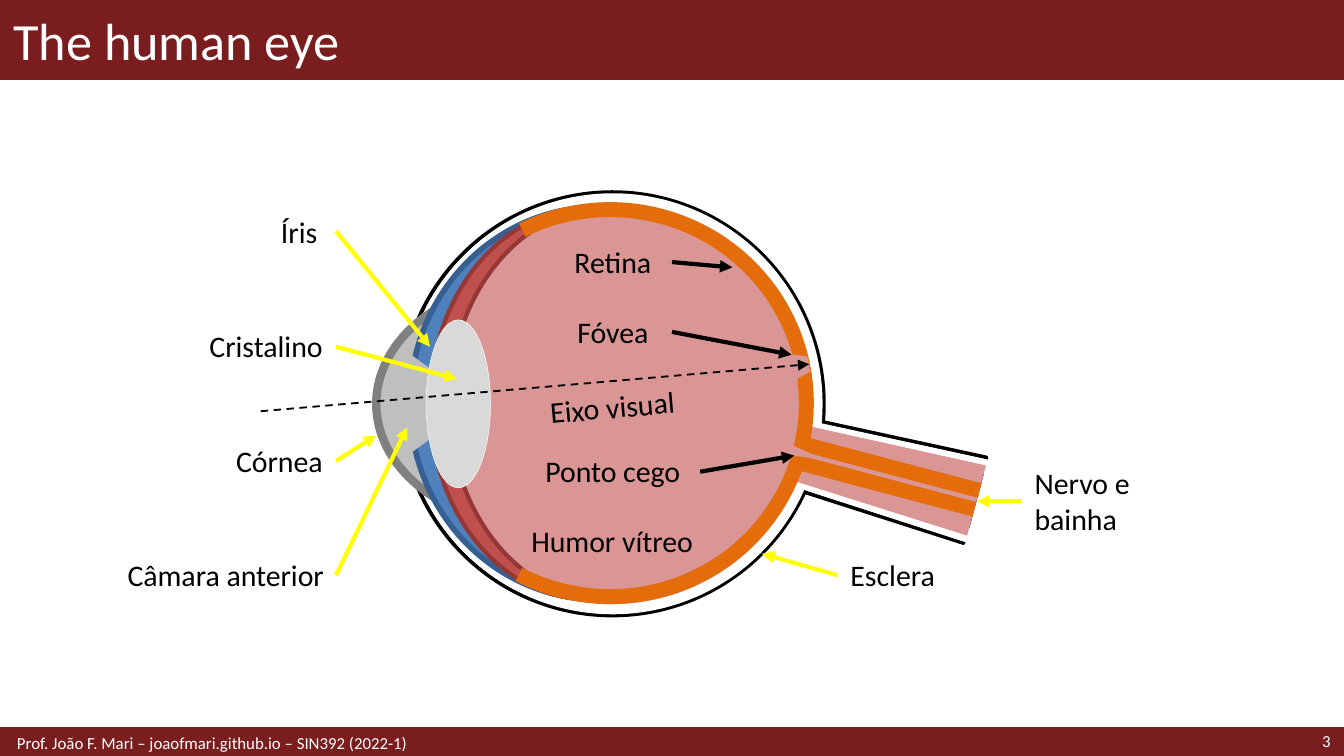
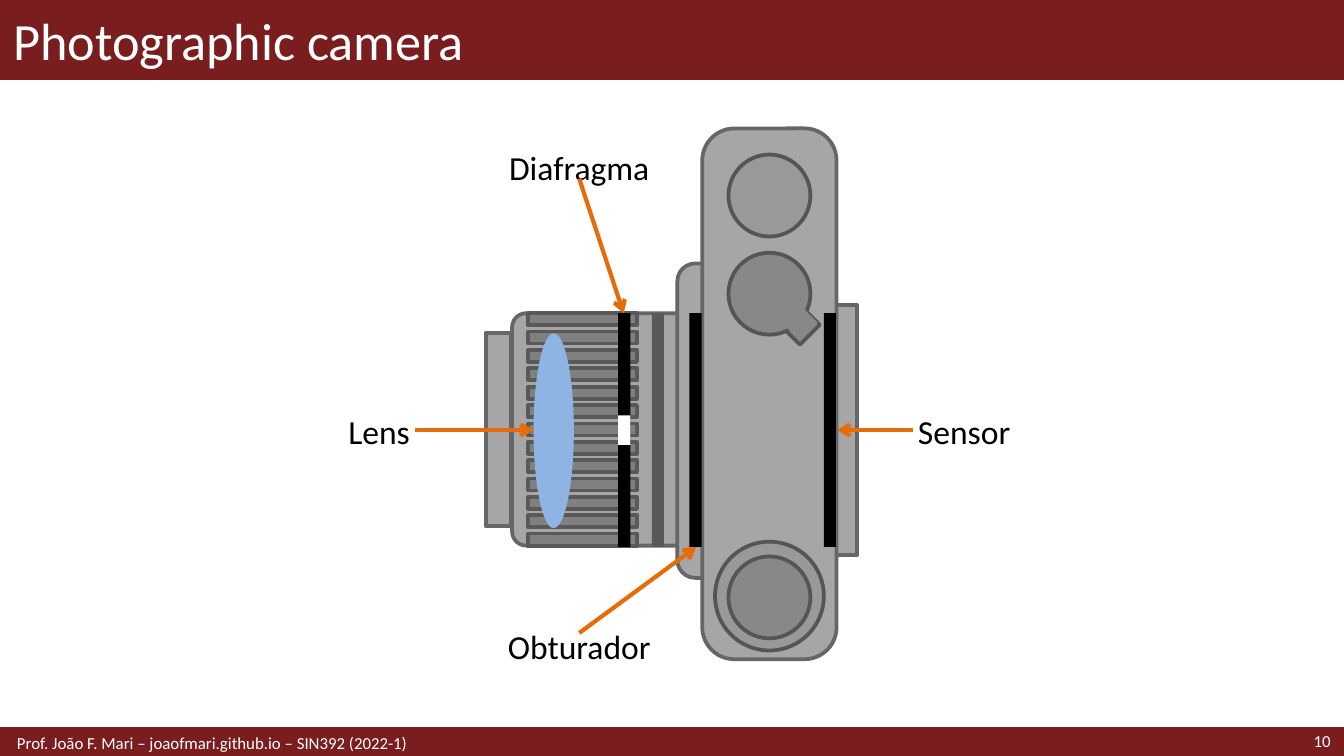
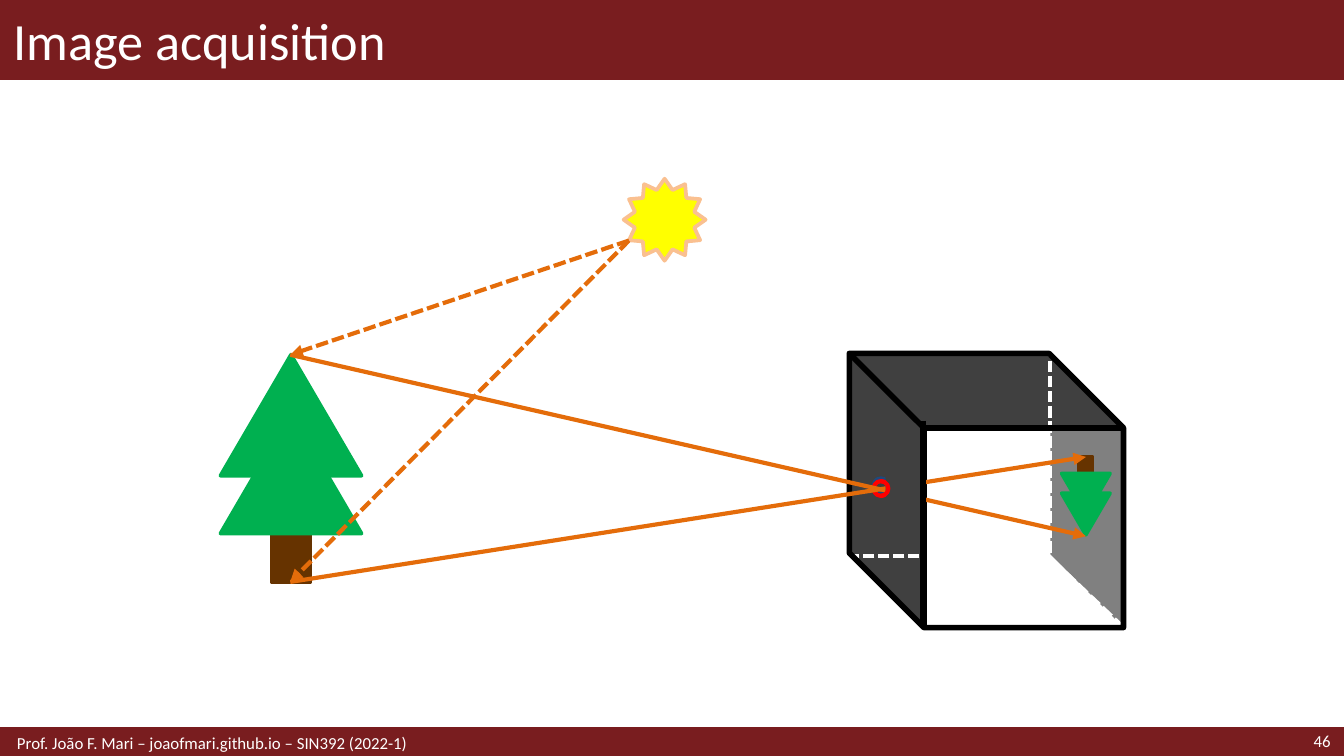
from pptx import Presentation
from pptx.dml.color import RGBColor
from pptx.enum.dml import MSO_LINE
from pptx.enum.shapes import MSO_CONNECTOR, MSO_SHAPE
from pptx.enum.text import MSO_ANCHOR, MSO_AUTO_SIZE, PP_ALIGN
from pptx.oxml.ns import qn
from pptx.util import Inches, Pt
from lxml import etree

COL = Inches(1)  # the slide is a grid of 10 by 5.625 square cells
COLS, ROWS = 10, 5.625
BAND = 0.59
FOOT = 5.42

RED, WHITE, BLACK, YELLOW = "791D1F", "FFFFFF", "000000", "FFFF00"
PINK, ORANGE, GREEN, BROWN = "D99694", "E46C0A", "00B050", "663300"
SILVER, GRAY, DARK, PALE = "A6A6A6", "808080", "404040", "BFBFBF"
EDGE, RIM, RIB, KNOB, DIAL = "666666", "555555", "595959", "888888", "999999"

LEFT, MID, RIGHT = PP_ALIGN.LEFT, PP_ALIGN.CENTER, PP_ALIGN.RIGHT
DASH, DOTS = MSO_LINE.DASH, MSO_LINE.SQUARE_DOT
STRAIGHT = MSO_CONNECTOR.STRAIGHT
MIDDLE, FIXED = MSO_ANCHOR.MIDDLE, MSO_AUTO_SIZE.NONE
RECT, ROUND = MSO_SHAPE.RECTANGLE, MSO_SHAPE.ROUNDED_RECTANGLE
OVAL, ARC, MOON = MSO_SHAPE.OVAL, MSO_SHAPE.ARC, MSO_SHAPE.MOON
TRAP, SLANT = MSO_SHAPE.TRAPEZOID, MSO_SHAPE.PARALLELOGRAM
CUBE, STAR = MSO_SHAPE.CUBE, MSO_SHAPE.STAR_12_POINT
CONE = MSO_SHAPE.ISOSCELES_TRIANGLE


def grid(*cells):
    return [round(cell * COL) for cell in cells]


def hue(code):
    return RGBColor.from_string(code)


def stroke(line, pen):
    """Apply a pen: (colour, points) or (colour, points, dash)."""
    line.color.rgb = hue(pen[0])
    line.width = Pt(pen[1])
    if len(pen) > 2:
        line.dash_style = pen[2]


def put(slide, kind, box, fill=None, pen=None, rot=0, flip="", adj=()):
    shape = slide.shapes.add_shape(kind, *grid(*box))
    shape.shadow.inherit = False
    shape.rotation = rot
    for side in flip:
        shape._element.spPr.find(qn("a:xfrm")).set("flip" + side, "1")
    for spot, val in enumerate(adj):
        shape.adjustments[spot] = val
    if fill:
        shape.fill.solid()
        shape.fill.fore_color.rgb = hue(fill)
    else:
        shape.fill.background()
    if pen:
        stroke(shape.line, pen)
    else:
        shape.line.fill.background()
    return shape


def link(slide, start, end, pen, tip=None):
    line = slide.shapes.add_connector(STRAIGHT, *grid(*start, *end))
    stroke(line.line, pen)
    if tip:
        etree.SubElement(line.line._ln, qn("a:tailEnd"), type=tip)
    etree.SubElement(line._element.spPr, qn("a:effectLst"))


def write(shape, text, size, color=BLACK, align=LEFT, pad=None):
    frame = shape.text_frame
    frame.text = text
    form = {"word_wrap": True, "auto_size": FIXED, "vertical_anchor": MIDDLE}
    if pad is not None:
        for side in ("left", "right", "top", "bottom"):
            form["margin_" + side] = Inches(pad)
    for key, val in form.items():
        setattr(frame, key, val)
    para = frame.paragraphs[0]
    para.alignment = align
    for key, val in {"name": "Calibri", "size": Pt(size)}.items():
        setattr(para.font, key, val)
    para.font.color.rgb = hue(color)


def label(slide, box, text, size=16, rot=0, **form):
    shape = slide.shapes.add_textbox(*grid(*box))
    shape.rotation = rot
    write(shape, text, size, **form)


def bands(slide, layout):
    """Draw the two bands and hand them to the layout."""
    for box, pt in (((0, 0, COLS, BAND), 1), ((0, FOOT, COLS, 0.21), 2)):
        band = put(slide, RECT, box, RED, (RED, pt))
        layout.shapes._spTree.append(band._element)


def page(deck, title, number):
    layout = deck.slide_layouts[5]
    slide = deck.slides.add_slide(layout)
    if len(deck.slides) == 1:
        bands(slide, layout)
    head = slide.shapes.title
    head.left, head.top, head.width, head.height = grid(0, 0, COLS, BAND)
    write(head, title, 28, WHITE)
    label(slide, (8.86, FOOT - 0.01, 1.14, 0.21), number, 9,
          color=WHITE, align=RIGHT)
    label(slide, (0, FOOT, 6.89, 0.21),
          " Prof. João F. Mari – joaofmari.github.io – SIN392 (2022-1)",
          9, color=WHITE)
    return slide


def eyeball(slide):
    def part(kind, box, fill=None, pen=None, rot=0, adj=()):
        put(slide, kind, box, fill, pen, rot, "V", adj)

    ink, nerve, gap = (BLACK, 2), (ORANGE, 8), (WHITE, 8)
    part(TRAP, (6.17, 2.74, 0.66, 1.56), WHITE, ink, 105, [0.115])
    part(OVAL, (2.98, 1.43, 3.15, 3.15), WHITE, ink)
    part(OVAL, (2.8, 2.1, 2.28, 1.81), PALE, ink)
    part(ARC, (3.03, 1.47, 3.06, 3.07), None, (WHITE, 4.5),
         adj=[124.619, 91.483])
    part(OVAL, (3.12, 1.57, 2.87, 2.87), PINK, (PINK, 8))
    part(OVAL, (3.29, 1.57, 2.53, 2.87), PINK, (PINK, 8))
    part(ARC, (2.8, 2.1, 2.4, 1.81), None, (GRAY, 4.5),
         adj=[78.452, 137.846])
    part(MOON, (3.05, 1.54, 1.4, 2.92), "4F81BD", ("376092", 3), adj=[0.115])
    part(TRAP, (2.77, 2.87, 0.78, 0.27), PALE, rot=270, adj=[0.731])
    link(slide, (7.38, 4.04), (5.87, 3.55), gap)
    link(slide, (7.64, 3.54), (5.99, 3.18), gap)
    part(TRAP, (6.31, 2.83, 0.54, 1.42), PINK, rot=105, adj=[0.115])
    link(slide, (7.25, 3.79), (5.97, 3.45), nerve)
    part(MOON, (3.2, 1.55, 1.18, 2.91), "C0504D", ("953735", 2.25),
         adj=[0.121])
    part(ARC, (3.08, 1.56, 2.92, 2.88), None, nerve, adj=[145.166, 70.166])
    part(OVAL, (3.17, 2.38, 0.48, 1.25), "D9D9D9", (WHITE, 0.25))
    part(TRAP, (5.78, 2.62, 0.26, 0.22), PINK, rot=259.1, adj=[0.327])
    link(slide, (1.94, 3.06), (6.02, 2.71), (BLACK, 1, DASH), "triangle")
    link(slide, (7.29, 3.65), (6, 3.31), nerve)
    part(TRAP, (5.87, 3.25, 0.1, 0.22), PINK, rot=285.4, adj=[0.327])


def eye(deck):
    slide = page(deck, "The human eye", "3")
    eyeball(slide)
    tall = 0.31
    for text, left, top, wide, align in (
        ("Nervo e bainha", 7.6, 3.57, 1.34, LEFT),
        ("Ponto cego", 3.91, 3.35, 1.3, MID),
        ("Fóvea", 4.12, 2.31, 0.88, MID),
        ("Humor vítreo", 3.77, 3.87, 1.57, MID),
        ("Retina", 4.12, 1.79, 0.88, MID),
        ("Cristalino", 1.22, 2.42, 1.28, RIGHT),
        ("Córnea", 1.22, 3.27, 1.28, RIGHT),
        ("Íris ", 1.61, 1.57, 0.9, RIGHT),
        ("Câmara anterior", 0.67, 4.12, 1.84, RIGHT),
        ("Esclera", 6.23, 4.12, 1, LEFT),
    ):
        label(slide, (left, top, wide, tall), text, align=align)
    label(slide, (3.78, 2.87, 1.55, tall), "Eixo visual", rot=355, align=MID)
    for color, start, end in (
        (BLACK, (5, 2.47), (5.89, 2.64)),
        (BLACK, (5, 1.95), (5.45, 1.99)),
        (BLACK, (5.21, 3.51), (5.91, 3.39)),
        (YELLOW, (2.5, 2.58), (3.4, 2.82)),
        (YELLOW, (2.5, 3.43), (2.8, 3.24)),
        (YELLOW, (2.5, 4.28), (3.03, 3.18)),
        (YELLOW, (2.5, 1.72), (3.2, 2.58)),
        (YELLOW, (6.23, 4.28), (5.67, 4.12)),
        (YELLOW, (7.6, 3.73), (7.27, 3.73)),
    ):
        link(slide, start, end, (color, 2.25), "triangle")


def body(slide):
    case, rim = (EDGE, 2), (RIM, 2)
    for kind, box, fill, pen, rot, adj in (
        (RECT, (2.99, 3.1, 1.44, 0.19), SILVER, case, 270, ()),
        (ROUND, (3.84, 2.3, 1.73, 1.79), SILVER, case, 270, [0.061]),
        (RECT, (5.05, 2.8, 1.86, 0.8), SILVER, case, 270, ()),
        (ROUND, (4.27, 2.73, 2.34, 0.8), SILVER, case, 270, ()),
        (ROUND, (3.75, 2.43, 3.95, 1), SILVER, case, 270, [0.239]),
        (OVAL, (5.42, 1.15, 0.61, 0.61), DIAL, rim, 270, ()),
        (RECT, (5.85, 2.32, 0.21, 0.2), KNOB, rim, 315, ()),
        (OVAL, (5.32, 4.03, 0.81, 0.81), DIAL, rim, 270, ()),
        (OVAL, (5.42, 4.14, 0.61, 0.61), KNOB, rim, 270, ()),
        (OVAL, (5.42, 1.88, 0.61, 0.61), KNOB, rim, 270, ()),
        (RECT, (5.85, 2.29, 0.19, 0.21), KNOB, None, 315, ()),
    ):
        put(slide, kind, box, fill, pen, rot, adj=adj)
    ribs, first, last = 13, 3.61, 1.97
    step = (first - last) / (ribs - 1)
    for rib in range(ribs):
        put(slide, RECT, (4.29, first - rib * step, 0.09, 0.81), GRAY,
            (RIB, 2), 270)


def camera(deck):
    slide = page(deck, "Photographic camera", "10")
    body(slide)
    top, thin, tall = 2.33, 0.09, 1.74
    put(slide, RECT, (4.85, top, thin, tall), RIB)
    put(slide, OVAL, (3.97, 2.48, 0.3, 1.45), "8EB4E3")
    for left in (5.13, 4.6, 6.13):
        put(slide, RECT, (left, top, thin, tall), BLACK)
    put(slide, RECT, (4.6, 3.09, thin, 0.22), WHITE)
    for text, left, row, wide, align, start, end in (
        ("Lens", 2.3, 3.11, 0.79, RIGHT, (3.09, 3.2), (3.97, 3.2)),
        ("Obturador", 3.72, 4.71, 1.18, MID, (4.31, 4.71), (5.18, 4.07)),
        ("Diafragma", 3.72, 1.15, 1.18, MID, (4.31, 1.33), (4.64, top)),
        ("Sensor", 6.79, 3.11, 0.79, LEFT, (6.79, 3.2), (6.23, 3.2)),
    ):
        label(slide, (left, row, wide, 0.19), text, 18, align=align, pad=0.04)
        link(slide, start, end, (ORANGE, 2.25), "arrow")


def tree(slide, left, top, wide, flip=""):
    """Draw a trunk and two crowns; a flipped tree stands on its tip."""
    unit = wide / 1.05
    full = 1.69
    for kind, dx, dy, span, tall, color in (
        (RECT, 0.38, 1.19, 0.29, 0.5, BROWN),
        (CONE, 0, 0, 1.05, 0.9, GREEN),
        (CONE, 0, 0.43, 1.05, 0.9, GREEN),
    ):
        if flip:
            dy = full - dy - tall
        box = (left + dx * unit, top + dy * unit, span * unit, tall * unit)
        put(slide, kind, box, color, (color, 2), flip=flip)


def scene(deck):
    slide = page(deck, "Image acquisition", "46")
    side, deep, lean = 2.04, 0.55, [1.002]
    left, top = 6.32, 2.63
    hole = (6.5, 3.58, 0.11, 0.11)
    ring = ("FF0000", 2.25)
    put(slide, SLANT, (7.07, 3.38, side, deep), GRAY, rot=90, adj=lean)
    put(slide, SLANT, (5.57, 3.38, side, deep), DARK, rot=90, adj=lean)
    put(slide, SLANT, (left, top, side, deep), DARK, flip="H", adj=lean)
    put(slide, OVAL, (6.5, 3.56, 0.11, 0.11), None, ("1F497D", 2.25))
    tree(slide, 7.9, 3.4, 0.36, "HV")
    put(slide, RECT, (left, top, 1.49, 1.51), None, (WHITE, 2, DOTS))
    link(slide, (8.36, 4.67), (7.8, 4.14), (WHITE, 2.25, DOTS))
    tree(slide, 1.64, 2.64, 1.05)
    put(slide, CUBE, (left, top, side, side), None, (BLACK, 3),
        flip="H", adj=[0.272])
    put(slide, OVAL, hole, None, ring)
    put(slide, STAR, (4.64, 1.33, 0.61, 0.61), YELLOW, ("FAC090", 2))
    sun, tip, root = (4.68, 1.79), (2.16, 2.64), (2.16, 4.33)
    for end in (tip, root):
        link(slide, sun, end, (ORANGE, 2.25, DOTS), "triangle")
    for start, end in ((tip, (8.08, 3.99)), (root, (8.08, 3.4))):
        link(slide, start, end, (ORANGE, 2.25), "triangle")
    put(slide, RECT, (6.59, 3.24, 0.27, 0.84), DARK)
    link(slide, (6.87, 3.13), (6.87, 4.63), (BLACK, 3))
    put(slide, ARC, hole, None, ring, adj=[162.741, 52.866])


def main():
    deck = Presentation()
    deck.slide_width, deck.slide_height = grid(COLS, ROWS)
    for build in (eye, camera, scene):
        build(deck)
    deck.save("out.pptx")


if __name__ == "__main__":
    main()
